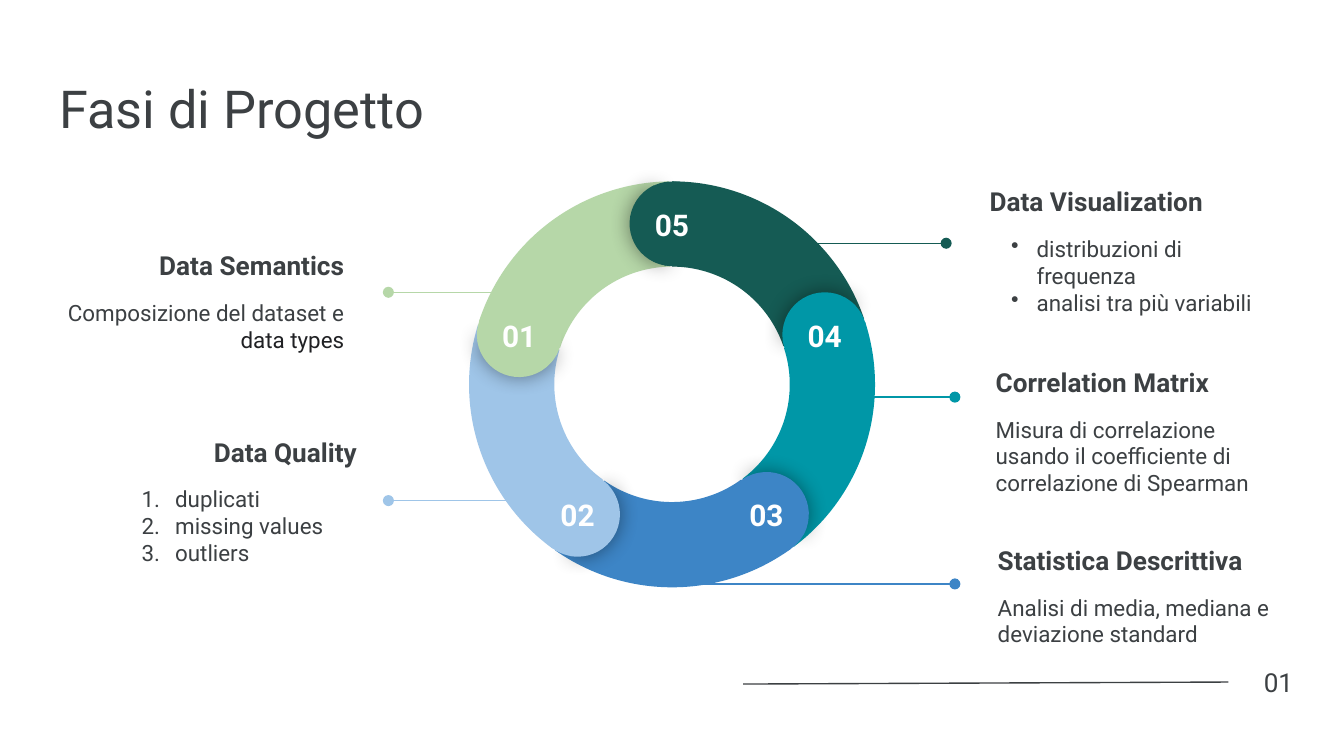
from math import cos, radians, sin

from lxml import etree
from pptx import Presentation
from pptx.dml.color import RGBColor
from pptx.enum.shapes import MSO_CONNECTOR, MSO_SHAPE
from pptx.enum.text import MSO_ANCHOR, PP_ALIGN
from pptx.oxml.ns import qn
from pptx.util import Inches, Pt

LEFT, CENTER, RIGHT = PP_ALIGN.LEFT, PP_ALIGN.CENTER, PP_ALIGN.RIGHT
TOP, MIDDLE = MSO_ANCHOR.TOP, MSO_ANCHOR.MIDDLE
BLOCK_ARC, PIE = MSO_SHAPE.BLOCK_ARC, MSO_SHAPE.PIE
STRAIGHT = MSO_CONNECTOR.STRAIGHT

INK = RGBColor(0x3C, 0x40, 0x43)
BLACK = RGBColor(0x20, 0x21, 0x24)
WHITE = RGBColor(0xFF, 0xFF, 0xFF)
FOREST = RGBColor(0x15, 0x5B, 0x54)
TEAL = RGBColor(0x00, 0x97, 0xA7)
BLUE = RGBColor(0x3D, 0x85, 0xC6)
SKY = RGBColor(0x9F, 0xC5, 0xE8)
GREEN = RGBColor(0xB6, 0xD7, 0xA8)

presentation = Presentation()
presentation.slide_width = Inches(10)
presentation.slide_height = presentation.slide_width * 9 // 16
slide = presentation.slides.add_slide(presentation.slide_layouts[6])
UNIT = presentation.slide_width // 100


def add_text(box, lines, size, color=INK, bold=False, align=LEFT, anchor=TOP):
    shape = slide.shapes.add_textbox(*(int(length * UNIT) for length in box))
    text_frame = shape.text_frame
    text_frame.word_wrap = True
    text_frame.vertical_anchor = anchor
    text_frame.margin_left = text_frame.margin_right = UNIT
    text_frame.margin_top = text_frame.margin_bottom = UNIT
    text_frame.text = "\n".join(lines)
    for paragraph in text_frame.paragraphs:
        paragraph.alignment = align
        for run in paragraph.runs:
            run.font.size = Pt(size)
            run.font.name = "Roboto"
            run.font.bold = bold
            run.font.color.rgb = color
    return text_frame.paragraphs


def add_line(start, end, color, dotted_end=True):
    points = [int(length * UNIT) for length in start + end]
    connector = slide.shapes.add_connector(STRAIGHT, *points)
    connector.line.color.rgb = color
    connector.line.width = Pt(0.75)
    properties = connector._element.spPr
    if dotted_end:
        etree.SubElement(properties.find(qn("a:ln")), qn("a:tailEnd"), type="oval")
    etree.SubElement(properties, qn("a:effectLst"))


add_text((3.45, 4.7, 93.2, 6.3), ["Fasi di Progetto"], 28)

leaders = [
    ((42.3, 21.75), (28.9, 21.75), GREEN),
    ((39.1, 37.25), (28.9, 37.25), SKY),
    ((50.9, 43.45), (71.05, 43.45), BLUE),
    ((61.4, 29.55), (71.05, 29.55), TEAL),
    ((55.9, 18.1), (70.4, 18.1), FOREST),
]
for start, end, color in leaders:
    add_line(start, end, color)

phases = [
    ((3.4, 16.65, 23.2, 11.5), RIGHT, None, "Data Semantics",
     ["Composizione del dataset e data types"]),
    ((7.85, 32.25, 19.7, 10.1), RIGHT, "buAutoNum", "Data Quality",
     ["duplicati", "missing values", "outliers"]),
    ((73.25, 39.3, 23.2, 10.1), LEFT, None, "Statistica Descrittiva",
     ["Analisi di media, mediana e deviazione standard"]),
    ((73.1, 27.05, 23.2, 10.1), LEFT, None, "Correlation Matrix",
     ["Misura di correlazione usando il coefficiente di correlazione di Spearman"]),
    ((72.65, 13.6, 24, 10.1), LEFT, "buChar", "Data Visualization",
     ["distribuzioni di frequenza", "analisi tra più variabili"]),
]
bullets = {
    "buAutoNum": ({"type": "arabicPeriod"}, 4.2, 2.5),
    "buChar": ({"char": "•"}, 3.5, 1.9),
}
for box, align, bullet, heading, body in phases:
    paragraphs = add_text(box, [heading] + body, 12, align=align, anchor=MIDDLE)
    paragraphs[0].runs[0].font.size = Pt(14)
    paragraphs[0].runs[0].font.bold = True
    paragraphs[1].space_before = Pt(9.5)
    for paragraph in paragraphs[1:]:
        if bullet:
            attributes, margin, hanging = bullets[bullet]
            paragraph.alignment = LEFT
            properties = paragraph._p.get_or_add_pPr()
            properties.set("marL", str(int(margin * UNIT)))
            properties.set("indent", str(int(-hanging * UNIT)))
            etree.SubElement(properties, qn("a:" + bullet), attributes)
        elif paragraph.text.endswith("data types"):
            run = paragraph.runs[0]
            run.text = run.text.removesuffix("data types")
            ending = paragraph.add_run()
            ending.text = "data types"
            ending.font.size = Pt(12)
            ending.font.name = "Roboto"
            ending.font.color.rgb = BLACK

CENTER_X, CENTER_Y = 50, 28.6
RING, CAP = 30.2, 6.3
STEP = 360 / 5
segments = [("05", FOREST), ("04", TEAL), ("03", BLUE), ("02", SKY), ("01", GREEN)]
arc_adjustments = (126.03, 168.68, 0.21)
shadow_adjustments = (61.9, 149.96)
cover_adjustments = (40.28, 171.84)

parts = []
for index in (3, 1, 0, 2, 4):
    parts.append((BLOCK_ARC, index, CENTER_X, CENTER_Y, RING, 60, arc_adjustments))
for index in range(len(segments)):
    angle = radians(STEP * index - 90)
    x = CENTER_X + (RING - CAP) / 2 * cos(angle)
    y = CENTER_Y + (RING - CAP) / 2 * sin(angle)
    parts.append((PIE, index, x, y, CAP, 355.1, shadow_adjustments))
    parts.append((PIE, index, x, y, CAP, 174.4, cover_adjustments))

for kind, index, x, y, size, rotation, adjustments in parts:
    label, color = segments[index]
    corner = int((x - size / 2) * UNIT), int((y - size / 2) * UNIT)
    shape = slide.shapes.add_shape(kind, *corner, int(size * UNIT), int(size * UNIT))
    shape.rotation = (rotation + STEP * index) % 360
    for position, value in enumerate(adjustments):
        shape.adjustments[position] = value
    shape.fill.solid()
    shape.fill.fore_color.rgb = color
    shape.line.fill.background()
    shape.shadow.inherit = False
    if adjustments == shadow_adjustments:
        effects = shape._element.spPr.find(qn("a:effectLst"))
        shadow = etree.SubElement(effects, qn("a:outerShdw"), blurRad=str(Pt(11.2)),
                                  dist="0", dir="0", algn="ctr", rotWithShape="0")
        shade = etree.SubElement(shadow, qn("a:srgbClr"), val="000000")
        etree.SubElement(shade, qn("a:alpha"), val="43000")
    elif adjustments == cover_adjustments:
        add_text((x - 2.8, y - 2.3, 5.6, 2.9), [label], 16, WHITE, True, CENTER)

add_text((93.05, 48.6, 5.4, 4.4), ["01"], 14)
add_line((55.3, 50.9), (91.4, 50.75), INK, dotted_end=False)

presentation.save("out.pptx")
